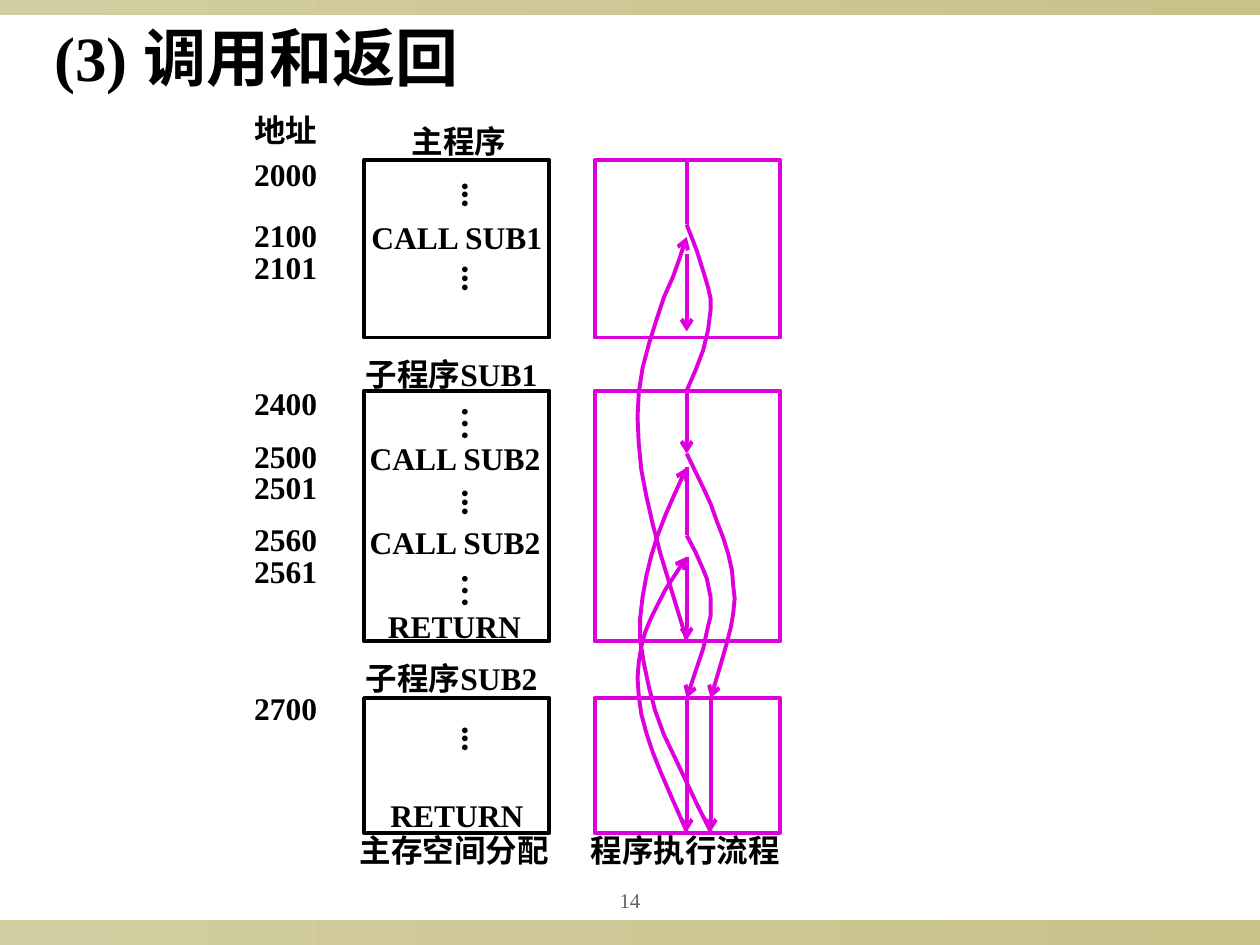
from lxml.etree import SubElement
from pptx import Presentation
from pptx.dml.color import RGBColor
from pptx.enum.shapes import MSO_CONNECTOR, MSO_SHAPE
from pptx.enum.text import MSO_ANCHOR, MSO_AUTO_SIZE, PP_ALIGN
from pptx.oxml.ns import qn
from pptx.util import Pt

BLACK = RGBColor(0x00, 0x00, 0x00)
MAGENTA = RGBColor(0xDD, 0x00, 0xDD)
GRAY = RGBColor(0x63, 0x63, 0x63)
BAND_LIGHT = RGBColor(0xD3, 0xCE, 0xA1)
BAND_DARK = RGBColor(0xC8, 0xC1, 0x8A)

MEMORY_X, FLOW_X, BLOCK_W = 208, 339.8, 106
BLOCKS = [(91.4, 101.5), (223.2, 143.3), (398.9, 77)]  # top, height
AXIS, SECOND_AXIS = 392.4, 406.1

ADDRESSES = [("地址", 59.8), ("2000", 85), ("2100", 120.2), ("2101", 138.2),
             ("2400", 216), ("2500", 246.2), ("2501", 264.2),
             ("2560", 293.8), ("2561", 311.8), ("2700", 390.2)]
LABELS = [("主程序", 228.2, 66.2, 70),
          ("CALL SUB1", 205.2, 121.3, 116),
          ("子程序SUB1", 202, 199.4, 120),
          ("CALL SUB2", 204.2, 247.4, 116),
          ("CALL SUB2", 204.2, 295.2, 116),
          ("RETURN", 214.6, 343.4, 98),
          ("子程序SUB2", 202, 373, 120),
          ("RETURN", 216, 451.4, 98),
          ("主存空间分配", 198.4, 471.6, 126),
          ("程序执行流程", 330.5, 471.6, 126)]
DOTS = [("...", 96.8, 22.3), ("...", 144.8, 22.3), ("…", 225, 27.4),
        ("...", 272.7, 22.3), ("…", 320.4, 27.4), ("...", 407.8, 22.3)]

# x, top, bottom, arrow at the bottom
DOWN_STEPS = [(AXIS, 91.4, 128.2, False), (AXIS, 145.4, 189.4, True),
              (AXIS, 223.2, 259.2, True), (AXIS, 267.1, 305.5, False),
              (AXIS, 318.2, 365.8, True), (AXIS, 398.9, 475.2, True),
              (SECOND_AXIS, 398.9, 475.2, True)]

CALL_SUB1 = [(AXIS, 128.2), (394, 132.5), (396, 137.5), (398.2, 143.3),
             (402.5, 157), (404.6, 164.2), (406.1, 170.6), (406.1, 177.1),
             (404.6, 188.6), (401.8, 200.2), (397.4, 211.7), (AXIS, 223.2)]
FIRST_CALL_SUB2 = [(AXIS, 259.2), (401.8, 278.6), (406.1, 288), (409.7, 298.1),
                   (413.3, 307.4), (416.2, 316.8), (418.3, 326.2),
                   (419, 334.8), (419.8, 342), (419, 350.6), (417.6, 358.6),
                   (415.4, 367.2), (411.1, 382.3), (SECOND_AXIS, 398.9)]
SECOND_CALL_SUB2 = [(AXIS, 306), (397.4, 315.4), (401.8, 325.4), (403.9, 330.5),
                    (406.1, 341.3), (406.1, 352.1), (404.6, 357.8),
                    (401.8, 370.8), (397.4, 383.8), (AXIS, 398.9)]
FIRST_RETURN_SUB2 = [(SECOND_AXIS, 475.2), (398.9, 460.8), (AXIS, 447.1),
                     (385.9, 433.4), (379.4, 419.8), (374.4, 406.1),
                     (370.8, 392.4), (367.9, 378.7), (365.8, 365.8),
                     (365.8, 353.5), (367.2, 341.3), (369.4, 329),
                     (372.2, 317.5), (375.8, 306), (380.2, 294.5),
                     (385.2, 283), (AXIS, 267.1)]
SECOND_RETURN_SUB2 = [(AXIS, 475.2), (382.3, 452.2), (377.3, 440.6),
                      (373, 429.8), (369.4, 419), (366.5, 408.2),
                      (365, 397.4), (364.3, 387.4), (365, 378.7),
                      (366.5, 369.4), (368.6, 361.4), (372.2, 352.8),
                      (375.8, 345.6), (380.2, 337), (AXIS, 318.2)]
RETURN_SUB1 = [(AXIS, 365.8), (382.3, 332.6), (377.3, 316.1), (373, 299.5),
               (369.4, 283.7), (366.5, 268.6), (365, 253.4), (364.3, 238.3),
               (365, 224.6), (367.2, 210.2), (370.8, 196.6), (375.1, 182.9),
               (379.4, 169.9), (384.5, 158.4), (388.1, 148.3), (AXIS, 135.4)]
ARROW_CURVES = [FIRST_CALL_SUB2, SECOND_CALL_SUB2, FIRST_RETURN_SUB2,
                SECOND_RETURN_SUB2, RETURN_SUB1]


class Sketch:
    font_name = "Times New Roman"
    line_width = Pt(2.25)

    def __init__(self, slide):
        self.slide = slide
        self.shapes = slide.shapes

    def style_font(self, paragraph, size, color=BLACK, bold=True):
        font = paragraph.font
        font.name, font.size, font.bold = self.font_name, Pt(size), bold
        font.color.rgb = color

    def style_line(self, shape, color, arrow=False):
        shape.line.color.rgb = color
        shape.line.width = self.line_width
        if arrow:
            SubElement(shape.line._get_or_add_ln(), qn("a:tailEnd"),
                       type="arrow", w="med", len="med")

    def title(self, text, left, top, width, height):
        title = self.shapes.title
        title.left, title.top = Pt(left), Pt(top)
        title.width, title.height = Pt(width), Pt(height)
        frame = title.text_frame
        frame.text = text
        frame.auto_size = MSO_AUTO_SIZE.NONE
        frame.vertical_anchor = MSO_ANCHOR.TOP
        frame.paragraphs[0].alignment = PP_ALIGN.LEFT
        self.style_font(frame.paragraphs[0], 36)

    def label(self, text, left, top, width, height=28.8, size=18, **font):
        box = self.shapes.add_textbox(Pt(left), Pt(top), Pt(width), Pt(height))
        frame = box.text_frame
        frame.word_wrap = False
        frame.text = text
        self.style_font(frame.paragraphs[0], size, **font)
        return frame

    def vertical_dots(self, text, top, height):
        frame = self.label(text, 249.8, top, 38.2, height, size=20)
        frame.margin_left = frame.margin_right = Pt(3.6)
        frame.margin_top = frame.margin_bottom = Pt(7.2)
        frame._txBody.bodyPr.set("vert", "eaVert")

    def page_number(self, text):
        frame = self.label(text, 324, 504, 72, 22.3, size=11.9,
                           color=GRAY, bold=False)
        frame.word_wrap = True
        frame.vertical_anchor = MSO_ANCHOR.MIDDLE
        frame.paragraphs[0].alignment = PP_ALIGN.CENTER
        frame.paragraphs[0].line_spacing = 0.9

    def rectangle(self, left, top, width, height):
        shape = self.shapes.add_shape(MSO_SHAPE.RECTANGLE, Pt(left), Pt(top),
                                      Pt(width), Pt(height))
        shape.shadow.inherit = False
        return shape

    def band(self, top, height):
        band = self.rectangle(0, top, 720, height)
        band.line.fill.background()
        band.fill.gradient()
        band.fill.gradient_angle = 0
        for stop, color in zip(band.fill.gradient_stops, (BAND_LIGHT, BAND_DARK)):
            stop.color.rgb = color

    def block(self, left, top, height, color):
        block = self.rectangle(left, top, BLOCK_W, height)
        block.fill.background()
        self.style_line(block, color)

    def step(self, x, top, bottom, arrow):
        step = self.shapes.add_connector(MSO_CONNECTOR.STRAIGHT, Pt(x), Pt(top),
                                         Pt(x), Pt(bottom))
        self.style_line(step, MAGENTA, arrow)
        SubElement(step._element.spPr, qn("a:effectLst"))

    def curve(self, points, arrow=True):
        start, *rest = [(Pt(x), Pt(y)) for x, y in points]
        builder = self.shapes.build_freeform(*start)
        builder.add_line_segments(rest, close=False)
        curve = builder.convert_to_shape()
        curve.shadow.inherit = False
        curve.fill.background()
        self.style_line(curve, MAGENTA, arrow)


def main():
    deck = Presentation()
    deck.slide_width, deck.slide_height = Pt(720), Pt(540)
    sketch = Sketch(deck.slides.add_slide(deck.slide_layouts[5]))

    sketch.band(525.6, 14.4)
    sketch.band(0, 8.6)
    sketch.page_number("14")
    sketch.title("(3) 调用和返回", 23.8, 7.2, 410.4, 50.4)

    for top, height in BLOCKS:
        sketch.block(MEMORY_X, top, height, BLACK)
        sketch.block(FLOW_X, top, height, MAGENTA)
    for text, top in ADDRESSES:
        sketch.label(text, 138.2, top, 50.4)
    for label in LABELS:
        sketch.label(*label)
    for dots in DOTS:
        sketch.vertical_dots(*dots)

    for step in DOWN_STEPS:
        sketch.step(*step)
    sketch.curve(CALL_SUB1, arrow=False)
    for points in ARROW_CURVES:
        sketch.curve(points)

    deck.save("out.pptx")


if __name__ == "__main__":
    main()
